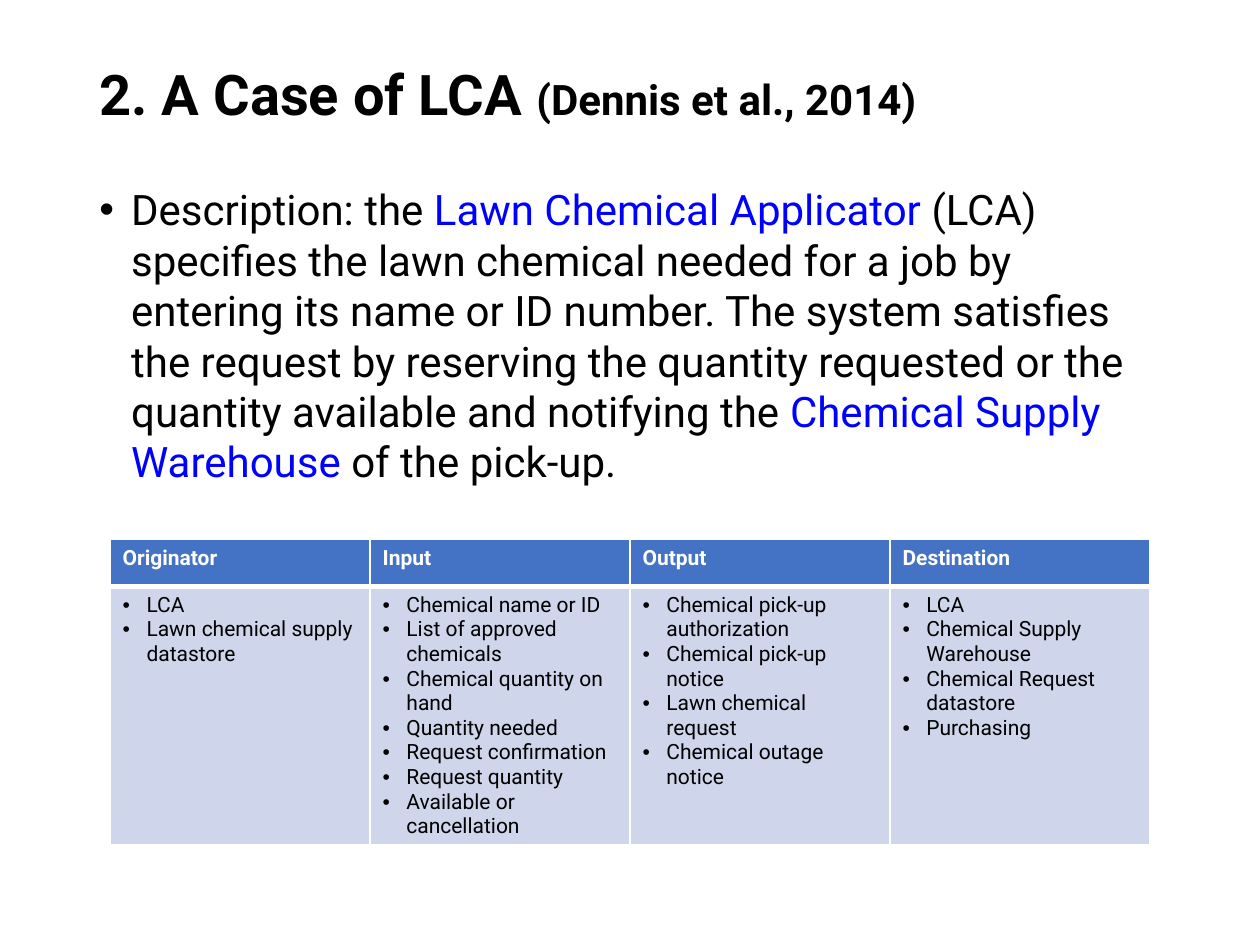
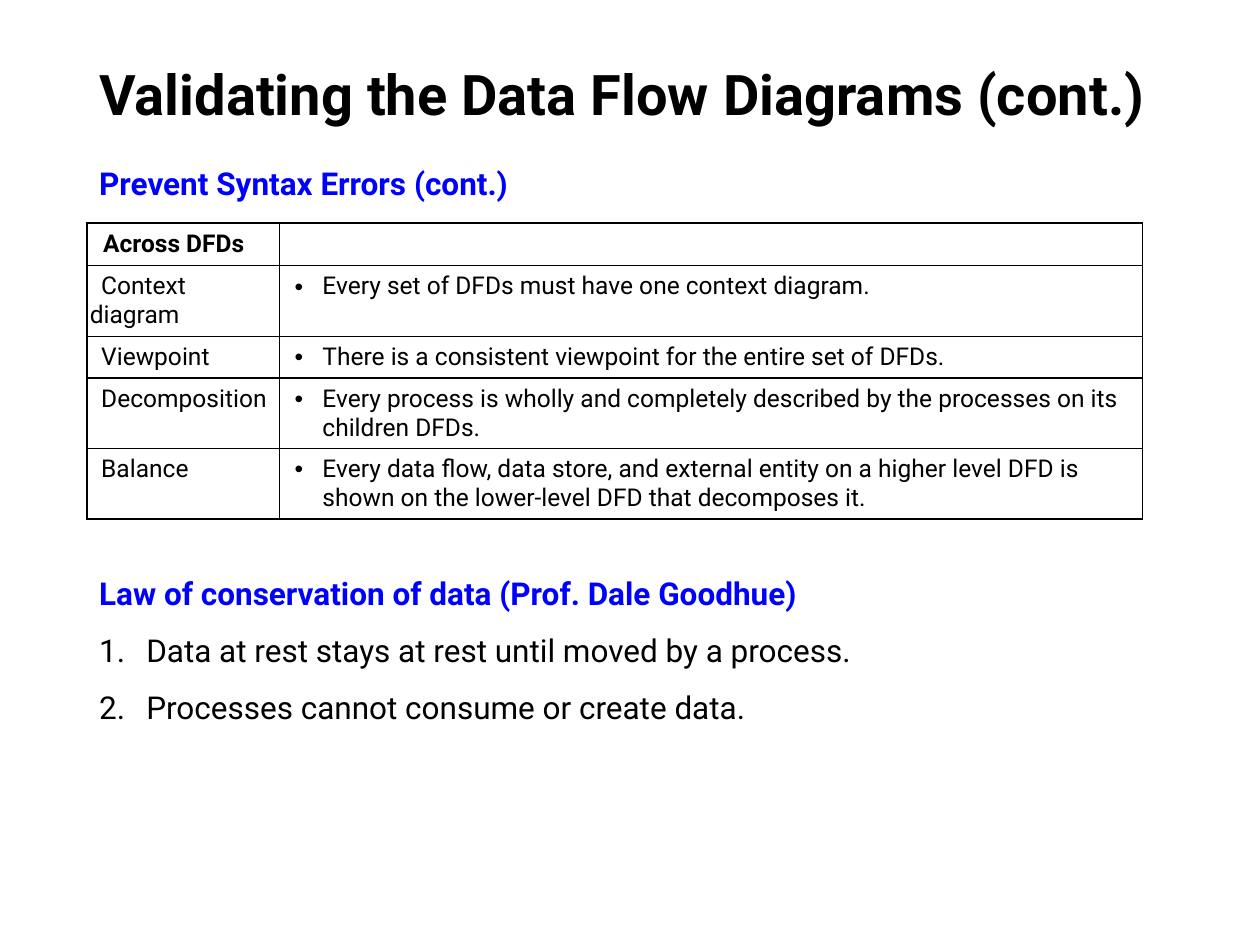
"""Builds two slides on data flow diagrams."""
import pptx
import pptx.dml.color
import pptx.enum.text
import pptx.oxml
import pptx.oxml.ns
import pptx.util
from dataclasses import dataclass
from lxml import etree

Cm = pptx.util.Cm
Pt = pptx.util.Pt


@dataclass(frozen=True)
class Theme:
    font: str = "Roboto"
    ink: str = "000000"
    key: str = "0000FF"
    pale: str = "FFFFFF"
    head: str = "4472C4"
    band: str = "CFD5EA"
    title: int = 32
    body: int = 24
    label: int = 18
    rule: int = 14
    item: int = 12


class Deck:
    def __init__(self, theme):
        self.theme = theme
        self.prs = pptx.Presentation()
        self.prs.slide_width, self.prs.slide_height = Cm(25.4), Cm(19.05)
        self.slide = None

    def style(self, run, size, color, bold=False):
        run.font.name = self.theme.font
        run.font.size = Pt(size)
        run.font.bold = bold
        run.font.color.rgb = pptx.dml.color.RGBColor.from_string(color)

    def fill(self, para, parts, size, bold=False):
        for text, color in parts:
            run = para.add_run()
            run.text = text
            self.style(run, size, color, bold)

    def lines(self, frame, texts, size, color, bold=False):
        frame.text = "\n".join(texts)
        for para in frame.paragraphs:
            for run in para.runs:
                self.style(run, size, color, bold)

    def indent(self, para, left, first, mark=None):
        props = para._p.get_or_add_pPr()
        props.set("marL", str(Cm(left)))
        props.set("indent", str(Cm(first)))
        qn = pptx.oxml.ns.qn
        if mark == "1.":
            etree.SubElement(props, qn("a:buAutoNum"), type="arabicPeriod")
        elif mark:
            etree.SubElement(props, qn("a:buFont"), typeface="Arial")
            etree.SubElement(props, qn("a:buChar"), char=mark)

    def place(self, shape, left, top, width, height):
        shape.left, shape.top = Cm(left), Cm(top)
        shape.width, shape.height = Cm(width), Cm(height)
        shape.text_frame.word_wrap = True
        shape.text_frame.auto_size = pptx.enum.text.MSO_AUTO_SIZE.NONE

    def page(self, title, note="", layout=5):
        self.slide = self.prs.slides.add_slide(self.prs.slide_layouts[layout])
        shape = self.slide.shapes.title
        self.place(shape, 1.75, 1.02, 21.9, 1.88)
        shape.text_frame.vertical_anchor = pptx.enum.text.MSO_ANCHOR.MIDDLE
        para = shape.text_frame.paragraphs[0]
        para.alignment = pptx.enum.text.PP_ALIGN.LEFT
        para.line_spacing = 0.9
        self.fill(para, [(title, self.theme.ink)], self.theme.title, True)
        if note:
            self.fill(para, [(note, self.theme.ink)], self.theme.body, True)

    def body(self, parts):
        shape = self.slide.placeholders[1]
        self.place(shape, 1.75, 3.58, 21.9, 13.56)
        para = shape.text_frame.paragraphs[0]
        para.space_before = Pt(10)
        self.fill(para, parts, self.theme.body)
        self.indent(para, 0.64, -0.64, "•")

    def label(self, top, height, head, steps=(), space=1.0):
        shape = self.slide.shapes.add_textbox(0, 0, 0, 0)
        self.place(shape, 1.75, top, 21.25, height)
        frame = shape.text_frame
        self.lines(frame, [head, *steps], self.theme.label, self.theme.ink)
        first, *rest = frame.paragraphs
        self.style(first.runs[0], self.theme.label, self.theme.key, True)
        for para in frame.paragraphs:
            para.line_spacing = space
        for para in rest:
            self.indent(para, 0.95, -0.95, "1.")

    def table(self, left, top, cols, rows):
        shape = self.slide.shapes.add_table(
            len(rows), len(cols), Cm(left), Cm(top), Cm(sum(cols)), Cm(sum(rows)))
        grid = shape.table
        grid.first_row = grid.horz_banding = False
        for col, width in zip(grid.columns, cols):
            col.width = Cm(width)
        for row, height in zip(grid.rows, rows):
            row.height = Cm(height)
        return grid

    def edge(self, cell, color, base=1):
        props = cell._tc.get_or_add_tcPr()
        for spot, (side, width) in enumerate(zip("LRTB", (1, 1, 1, base))):
            props.insert(spot, pptx.oxml.parse_xml(
                f'<a:ln{side} {pptx.oxml.ns.nsdecls("a")} w="{Pt(width)}">'
                f'<a:solidFill><a:srgbClr val="{color}"/></a:solidFill></a:ln{side}>'))

    def tint(self, cell, color):
        cell.fill.solid()
        cell.fill.fore_color.rgb = pptx.dml.color.RGBColor.from_string(color)

    def flows(self, data):
        look = self.theme
        grid = self.table(2.22, 10.87, [5.24] * len(data), [0.95, 5.21])
        for col, (name, items) in enumerate(data.items()):
            head, cell = grid.cell(0, col), grid.cell(1, col)
            self.lines(head.text_frame, [name], look.item, look.pale, True)
            self.lines(cell.text_frame, items, look.item, look.ink)
            for para in cell.text_frame.paragraphs:
                self.indent(para, 0.48, -0.48, "•")
            self.tint(head, look.head)
            self.tint(cell, look.band)
            self.edge(head, look.pale, 3)
            self.edge(cell, look.pale)

    def rules(self, head, data):
        look = self.theme
        grid = self.table(1.75, 4.5, [3.88, 17.4], [0.84, 1.42, 0.84, 1.42, 1.42])
        for row, pair in enumerate([(head, ""), *data.items()]):
            for col, text in enumerate(pair):
                cell = grid.cell(row, col)
                self.lines(cell.text_frame, [text], look.rule, look.ink, row == 0)
                cell.margin_left = cell.margin_right = Cm(0.06 if row else 0.33)
                para = cell.text_frame.paragraphs[0]
                if not text:
                    para._p.get_or_add_endParaRPr().set("sz", str(look.rule * 100))
                elif row and col:
                    self.indent(para, 0.81, -0.56, "•")
                elif row:
                    self.indent(para, 0, 0.23)
                cell.fill.background()
                self.edge(cell, look.ink)


def main():
    look = Theme()
    deck = Deck(look)

    deck.page("2. A Case of LCA ", "(Dennis et al., 2014)", layout=1)
    deck.body([
        ("Description: the ", look.ink),
        ("Lawn Chemical Applicator ", look.key),
        ("(LCA) specifies the lawn chemical needed for a job by entering its "
         "name or ID number. The system satisfies the request by reserving the "
         "quantity requested or the quantity available and notifying the ", look.ink),
        ("Chemical Supply Warehouse ", look.key),
        ("of the pick-up.", look.ink),
    ])
    deck.flows({
        "Originator": ["LCA", "Lawn chemical supply datastore"],
        "Input": ["Chemical name or ID", "List of approved chemicals",
                  "Chemical quantity on hand", "Quantity needed",
                  "Request confirmation", "Request quantity",
                  "Available or cancellation"],
        "Output": ["Chemical pick-up authorization", "Chemical pick-up notice",
                   "Lawn chemical request", "Chemical outage notice"],
        "Destination": ["LCA", "Chemical Supply Warehouse",
                        "Chemical Request datastore", "Purchasing"],
    })

    deck.page("Validating the Data Flow Diagrams (cont.)")
    deck.rules("Across DFDs", {
        "Context diagram": "Every set of DFDs must have one context diagram.",
        "Viewpoint": "There is a consistent viewpoint for the entire set of DFDs.",
        "Decomposition": "Every process is wholly and completely described by "
                         "the processes on its children DFDs.",
        "Balance": "Every data flow, data store, and external entity on a higher "
                   "level DFD is shown on the lower-level DFD that decomposes it.",
    })
    deck.label(3.18, 1.02, "Prevent Syntax Errors (cont.)")
    deck.label(11.07, 3.61, "Law of conservation of data (Prof. Dale Goodhue)", [
        "Data at rest stays at rest until moved by a process.",
        "Processes cannot consume or create data.",
    ], 1.5)

    deck.prs.save("out.pptx")


if __name__ == "__main__":
    main()
